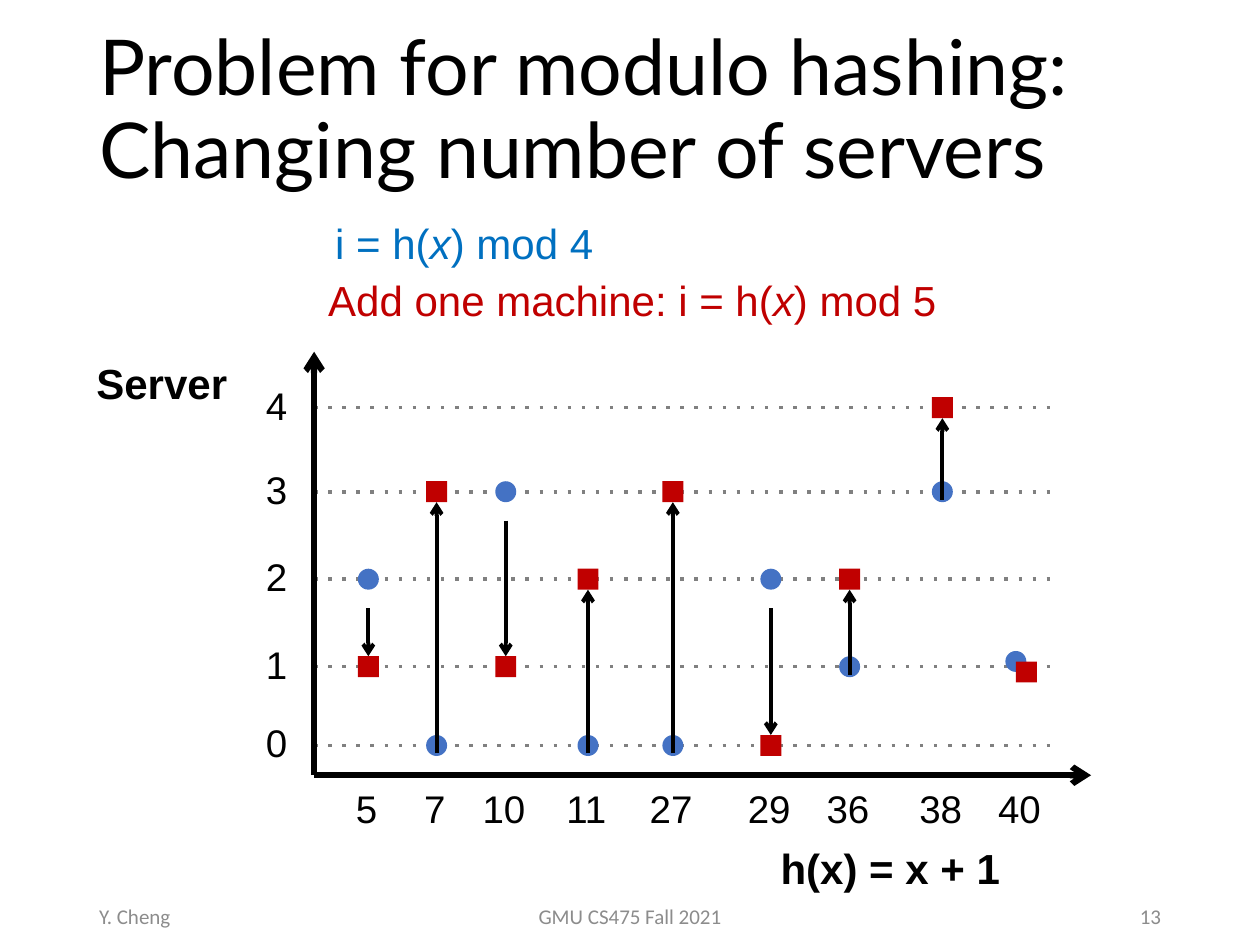
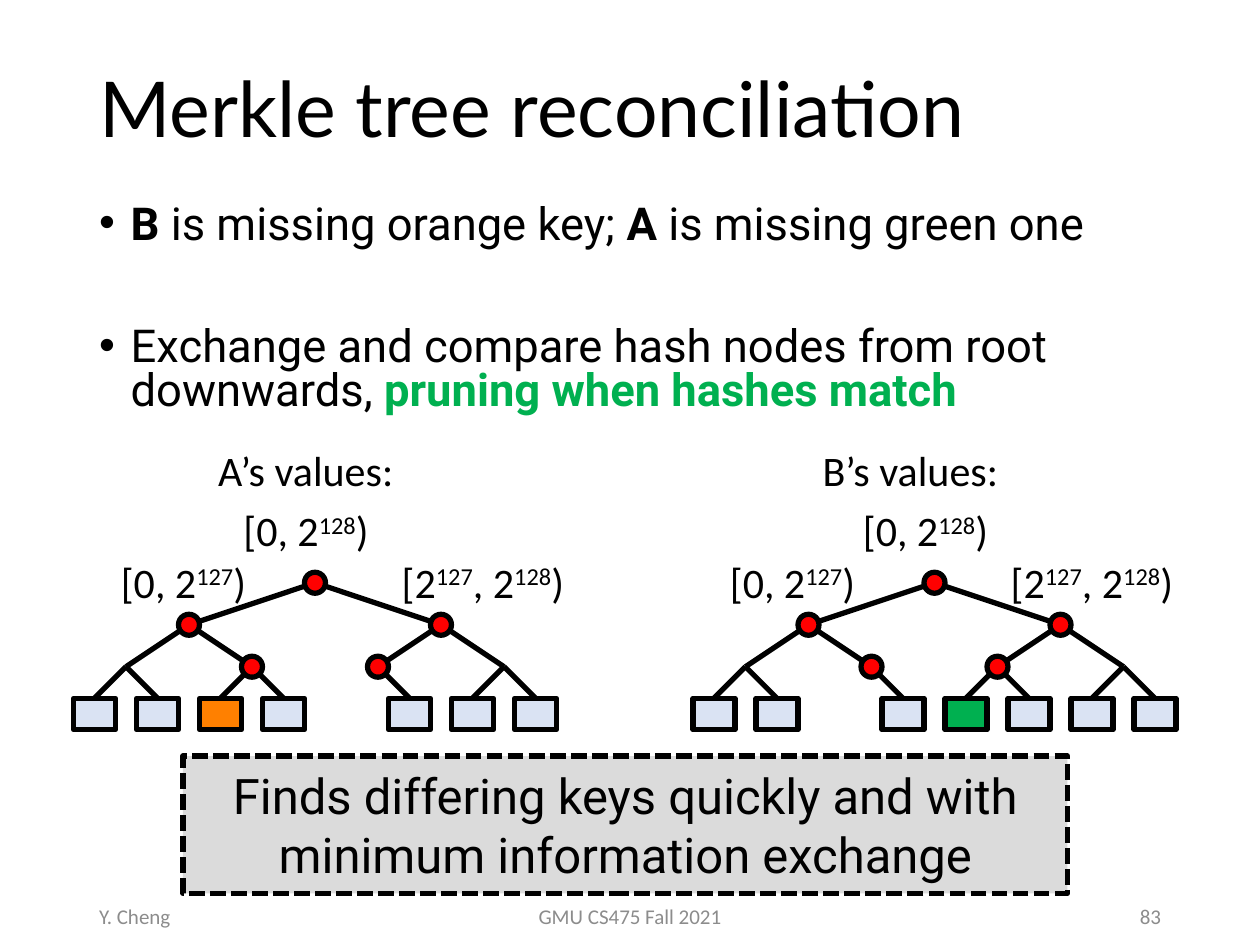
from dataclasses import dataclass
from lxml import etree
from pptx import Presentation
from pptx.dml.color import RGBColor
from pptx.enum import shapes as sh, text as tx
from pptx.oxml import ns
from pptx.util import Pt


@dataclass(frozen=True)
class Theme:
    black: str = "000000"
    footer: str = "8C8C8C"
    grid: str = "808080"
    before: str = "4472C4"
    formula: str = "0070C0"
    after: str = "C00000"
    leaf: str = "DAE3F3"
    orange: str = "FF8000"
    green: str = "00B050"
    node: str = "FF0000"
    banner: str = "DBDBDB"
    title_font: str = "Lato"
    body_font: str = "Roboto"
    chart_font: str = "Arial"
    plain_font: str = "Calibri"
    title_size: float = 44
    banner_size: float = 28
    body_size: float = 25.9
    label_size: float = 24
    tick_size: float = 22
    footer_size: float = 12


T = Theme()

FOOTERS = [("Y. Cheng", 49.5, 162, "LEFT"), ("GMU CS475 Fall 2021", 238.5, 243, "CENTER")]
NUMBER_LEFT, FOOTER_TOP, FOOTER_HEIGHT = 508.5, 509, 29

HASHING_TITLE = "Problem for modulo hashing: Changing number of servers"
CAPTIONS = [
    ([("Server", "")], 48, 201, 90, T.black, True),
    ([("h(x) = x + 1", "")], 439, 478, 141, T.black, True),
    ([("i = h(", ""), ("x", "i"), (") mod 4", "")], 184.5, 121, 163.5, T.formula, False),
    ([("Add one machine: i = h(", ""), ("x", "i"), (") mod 5", "")], 180.5, 153.5, 366, T.after, False),
]
SERVER_Y = [426, 381, 331, 281, 233]
KEY_X = {5: 210.5, 7: 249.5, 10: 289, 11: 336, 27: 384.5, 29: 440.5, 36: 485.5, 38: 538.5, 40: 583.5}
ORIGIN_X, ORIGIN_Y, AXIS_RIGHT, AXIS_TOP, GRID_RIGHT = 179.5, 443, 623.5, 201, 600
MARK = 12

MERKLE_TITLE = "Merkle tree reconciliation"
BULLETS = [
    ([("B", "b"), (" is missing orange key; ", ""), ("A", "b"), (" is missing green one", "")], 10),
    ([("Exchange and compare hash nodes from root downwards, ", ""),
      ("pruning when hashes match", "bg")], 45),
]
BANNER = "Finds differing keys quickly and with minimum information exchange"
WHOLE = [("[0, 2", ""), ("128", "^"), (")", "")]
LOWER = [("[0, 2", ""), ("127", "^"), (")", "")]
UPPER = [("[2", ""), ("127", "^"), (", 2", ""), ("128", "^"), (")", "")]
TREES = [
    {"heading": "A’s values:", "heading_left": 117.5, "left": 54, "missing": 4,
     "special": {2: T.orange}, "shift": 0},
    {"heading": "B’s values:", "heading_left": 463, "left": 408, "missing": 2,
     "special": {4: T.green}, "shift": -6},
]
LEAVES, PITCH, LEAF_WIDTH, LEAF_HEIGHT = 8, 36, 24, 18
ROOT_Y, HALF_Y, QUARTER_Y, LEAF_TOP = 333, 357, 381, 399


def pts(*lengths):
    return [Pt(length) for length in lengths]


def rgb(color):
    return RGBColor.from_string(color)


def write(paragraph, runs, font, size, color=T.black, align="LEFT", bold=None):
    paragraph.alignment = tx.PP_ALIGN[align]
    paragraph.font.name, paragraph.font.size = font, Pt(size)
    paragraph.font.color.rgb = rgb(color)
    paragraph.font.bold = bold
    for words, style in runs:
        run = paragraph.add_run()
        run.text = words
        if "i" in style:
            run.font.italic = True
        if "b" in style:
            run.font.bold = True
        if "g" in style:
            run.font.color.rgb = rgb(T.green)
        if "^" in style:
            run.font._element.set("baseline", "30000")


def label(slide, runs, box, font, size, color=T.black, align="LEFT", bold=None, anchor="TOP"):
    frame = slide.shapes.add_textbox(*pts(*box)).text_frame
    frame.word_wrap = True
    frame.vertical_anchor = tx.MSO_ANCHOR[anchor]
    write(frame.paragraphs[0], runs, font, size, color, align, bold)


def line_detail(line, tag, **attributes):
    etree.SubElement(line._get_or_add_ln(), ns.qn(tag), attributes)


def shape(slide, kind, box, fill, outline=False):
    part = slide.shapes.add_shape(sh.MSO_SHAPE[kind], *pts(*box))
    part.shadow.inherit = False
    part.fill.solid()
    part.fill.fore_color.rgb = rgb(fill)
    if outline:
        part.line.color.rgb, part.line.width = rgb(T.black), Pt(3)
    else:
        part.line.fill.background()
    return part


def mark(slide, kind, x, y, fill, outline=False):
    return shape(slide, kind, (x - MARK / 2, y - MARK / 2, MARK, MARK), fill, outline)


def connect(slide, start, end, width, color=T.black, dash=None, arrow=False):
    link = slide.shapes.add_connector(sh.MSO_CONNECTOR.STRAIGHT, *pts(*start, *end))
    link.line.color.rgb, link.line.width = rgb(color), Pt(width)
    if dash:
        line_detail(link.line, "a:prstDash", val=dash)
    if arrow:
        line_detail(link.line, "a:tailEnd", type="arrow")
    etree.SubElement(link._element.spPr, ns.qn("a:effectLst"))
    return link


def place(holder, box, anchor):
    holder.left, holder.top, holder.width, holder.height = pts(*box)
    frame = holder.text_frame
    frame.auto_size = tx.MSO_AUTO_SIZE.NONE
    frame.vertical_anchor = tx.MSO_ANCHOR[anchor]
    return frame


def new_slide(deck, layout, title, number):
    slide = deck.slides.add_slide(deck.slide_layouts[layout])
    heading = place(slide.shapes.title, (49.5, 12, 621, 104.5), "MIDDLE").paragraphs[0]
    heading.line_spacing = 0.9
    write(heading, [(title, "")], T.title_font, T.title_size)
    for words, left, width, align in FOOTERS + [(str(number), NUMBER_LEFT, 162, "RIGHT")]:
        label(slide, [(words, "")], (left, FOOTER_TOP, width, FOOTER_HEIGHT),
              T.plain_font, T.footer_size, T.footer, align, anchor="MIDDLE")
    return slide


def tick(slide, value, center, top):
    width = 27 if value < 10 else 40
    label(slide, [(str(value), "")], (center - width / 2, top, width, 34),
          T.chart_font, T.tick_size, align="CENTER")


def hashing_slide(deck):
    slide = new_slide(deck, 5, HASHING_TITLE, 13)
    for runs, left, top, width, color, bold in CAPTIONS:
        label(slide, runs, (left, top, width, 36), T.chart_font, T.label_size, color, bold=bold)
    for server, y in enumerate(SERVER_Y):
        connect(slide, (ORIGIN_X, y), (GRID_RIGHT, y), 2, T.grid, dash="dot")
        tick(slide, server, 158, y - 18.5)
    for tip in ((AXIS_RIGHT, ORIGIN_Y), (ORIGIN_X, AXIS_TOP)):
        connect(slide, (ORIGIN_X, ORIGIN_Y), tip, 3.5, arrow=True)
    for key, x in KEY_X.items():
        tick(slide, key, x - 1, 445)
        hashed = key + 1
        old_y, new_y = SERVER_Y[hashed % 4], SERVER_Y[hashed % 5]
        nudge = 3 if old_y == new_y else 0
        mark(slide, "OVAL", x - nudge, old_y - nudge, T.before)
        moved = mark(slide, "RECTANGLE", x + nudge, new_y + nudge, T.after)
        if old_y != new_y:
            rises = new_y < old_y
            start_y = old_y + (4.5 if rises else 16.5)
            arrow = connect(slide, (x, start_y), (x, new_y), 2.25, arrow=True)
            arrow.end_connect(moved, 2 if rises else 0)


def draw_tree(slide, tree):
    def level(span):
        first = tree["left"] + PITCH * (span - 1) / 2
        return [first + PITCH * span * i for i in range(LEAVES // span)]

    leaves, quarters, halves, (root,) = level(1), level(2), level(4), level(8)
    for slot, x in enumerate(leaves):
        if slot != tree["missing"]:
            leaf = shape(slide, "RECTANGLE", (x - LEAF_WIDTH / 2, LEAF_TOP, LEAF_WIDTH, LEAF_HEIGHT),
                         tree["special"].get(slot, T.leaf), True)
            branch = connect(slide, (x, LEAF_TOP), (quarters[slot // 2], QUARTER_Y), 3)
            branch.begin_connect(leaf, 0)
    for i, x in enumerate(quarters):
        connect(slide, (halves[i // 2], HALF_Y), (x, QUARTER_Y), 3)
    for x in halves:
        connect(slide, (x, HALF_Y), (root, ROOT_Y), 3)

    label(slide, [(tree["heading"], "")], (tree["heading_left"], 250.5, 142, 36),
          T.plain_font, T.label_size)
    shift = tree["left"] + tree["shift"]
    for runs, left, top, width in ((WHOLE, root - 48, 285, 96), (LOWER, shift + 8, 314.5, 96),
                                   (UPPER, shift + 168.5, 314.5, 127.5)):
        label(slide, runs, (left, top, width, 36), T.plain_font, T.label_size)

    nodes = [(root, ROOT_Y)] + [(x, HALF_Y) for x in halves] + [(x, QUARTER_Y) for x in quarters[1:3]]
    for x, y in nodes:
        mark(slide, "OVAL", x, y, T.node, True)


def merkle_slide(deck):
    slide = new_slide(deck, 1, MERKLE_TITLE, 83)
    body = place(slide.placeholders[1], (49.5, 114, 610.5, 131), "TOP")
    for i, (runs, gap) in enumerate(BULLETS):
        bullet = body.add_paragraph() if i else body.paragraphs[0]
        write(bullet, runs, T.body_font, T.body_size)
        bullet.line_spacing, bullet.space_before = 0.8, Pt(gap)
        indent = bullet._p.get_or_add_pPr()
        indent.set("marL", str(Pt(18)))
        indent.set("indent", str(-Pt(18)))
    for tree in TREES:
        draw_tree(slide, tree)
    banner = shape(slide, "RECTANGLE", (104.5, 432, 505.5, 78.5), T.banner, True)
    line_detail(banner.line, "a:prstDash", val="sysDash")
    banner.text_frame.word_wrap = True
    banner.text_frame.vertical_anchor = tx.MSO_ANCHOR.MIDDLE
    write(banner.text_frame.paragraphs[0], [(BANNER, "")], T.body_font, T.banner_size, align="CENTER")


def main():
    deck = Presentation()
    deck.slide_width, deck.slide_height = pts(720, 540)
    hashing_slide(deck)
    merkle_slide(deck)
    deck.save("out.pptx")


if __name__ == "__main__":
    main()
